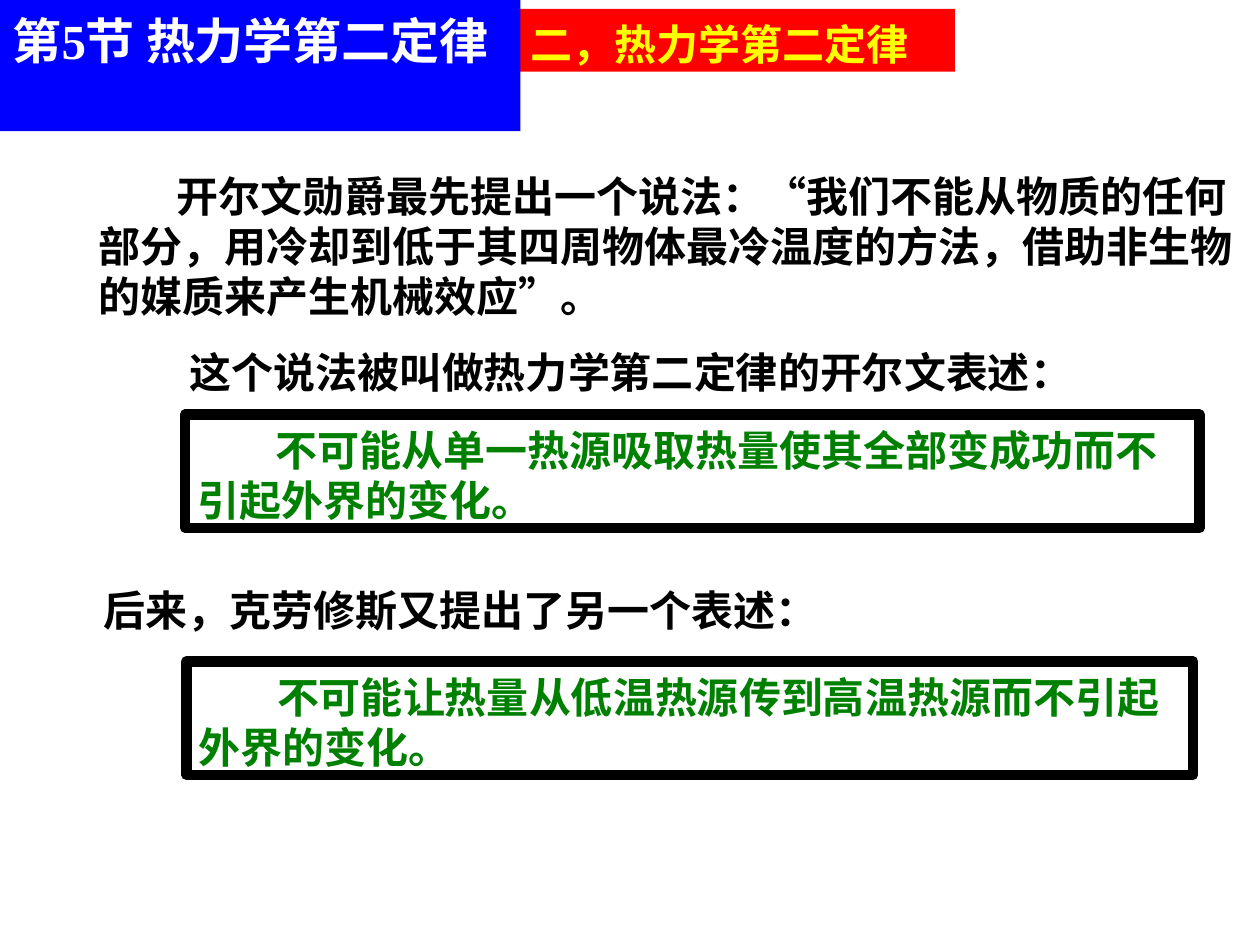
from lxml import etree
from pptx import Presentation
from pptx.dml.color import RGBColor
from pptx.enum.lang import MSO_LANGUAGE_ID
from pptx.enum.shapes import MSO_SHAPE
from pptx.enum.text import MSO_ANCHOR, MSO_AUTO_SIZE, PP_ALIGN
from pptx.oxml.ns import qn
from pptx.util import Inches, Pt

RECT = MSO_SHAPE.RECTANGLE
TOP = MSO_ANCHOR.TOP
FIXED = MSO_AUTO_SIZE.NONE
LEFT = PP_ALIGN.LEFT
CHINESE = MSO_LANGUAGE_ID.SIMPLIFIED_CHINESE

SERIF, SANS = "Times New Roman", "Noto Sans CJK JP"
BLACK, GREEN = "000000", "008000"
INDENT = 0.62

TITLE = "第5节 热力学第二定律"
HEAD = "二，热力学第二定律"
# text, (left, top, width, height), first-line indent
NOTES = [
    ("开尔文勋爵最先提出一个说法：“我们不能从物质的任何部分，用冷却到低于其四周物体"
     "最冷温度的方法，借助非生物的媒质来产生机械效应”。", (0.68, 1.27, 9.32, 1.3), INDENT),
    ("这个说法被叫做热力学第二定律的开尔文表述：", (1.41, 2.67, 7.76, 0.5), 0),
    ("后来，克劳修斯又提出了另一个表述：", (0.72, 4.56, 7.35, 0.5), 0),
]
LAWS = [
    ("不可能从单一热源吸取热量使其全部变成功而不引起外界的变化。", (1.47, 3.29, 8.05, 0.9)),
    ("不可能让热量从低温热源传到高温热源而不引起外界的变化。", (1.48, 5.25, 7.99, 0.9)),
]


def rgb(code):
    return RGBColor.from_string(code)


def write(shape, text, color, size=24, font=SERIF, indent=0):
    frame = shape.text_frame
    frame.text = text
    frame.word_wrap = True
    frame.auto_size = FIXED
    frame.vertical_anchor = TOP
    frame.margin_left = frame.margin_right = Inches(0.1)
    frame.margin_top, frame.margin_bottom = Inches(0.08), Inches(0.02)
    para = frame.paragraphs[0]
    para.alignment = LEFT
    para.line_spacing = Pt(1.2 * size)
    para.space_before = Pt(0)
    if indent:
        para._p.get_or_add_pPr().set("indent", str(Inches(indent)))
    run = para.runs[0]
    run.font.size = Pt(size)
    run.font.bold = True
    run.font.color.rgb = rgb(color)
    run.font.name = font
    run.font.language_id = CHINESE
    asian = etree.SubElement(run._r.get_or_add_rPr(), qn("a:ea"))
    asian.set("typeface", SANS)


def fill(shape, color):
    shape.fill.solid()
    shape.fill.fore_color.rgb = rgb(color)


def add_rect(shapes, box):
    rect = shapes.add_shape(RECT, *map(Inches, box))
    rect.shadow.inherit = False
    return rect


def main():
    deck = Presentation()
    deck.slide_width, deck.slide_height = Inches(10), Inches(7.5)
    slide = deck.slides.add_slide(deck.slide_layouts[5])
    shapes = slide.shapes

    for text, box, indent in NOTES:
        note = shapes.add_textbox(*map(Inches, box))
        write(note, text, BLACK, indent=indent)

    for text, box in LAWS:
        law = add_rect(shapes, box)
        law.fill.background()
        law.line.color.rgb = rgb(BLACK)
        law.line.width = Pt(6)
        write(law, text, GREEN, indent=INDENT)

    head = add_rect(shapes, (4.11, 0.07, 3.47, 0.5))
    fill(head, "FF0000")
    head.line.fill.background()
    write(head, HEAD, "FFFF00", font=SANS)

    title = shapes.title
    title.left, title.top = Inches(0), Inches(0)
    title.width, title.height = Inches(4.13), Inches(1.04)
    fill(title, "0000FF")
    write(title, TITLE, "FFFFFF", size=28)
    shapes._spTree.append(title._element)  # the title overlaps the red heading

    deck.save("out.pptx")


if __name__ == "__main__":
    main()
